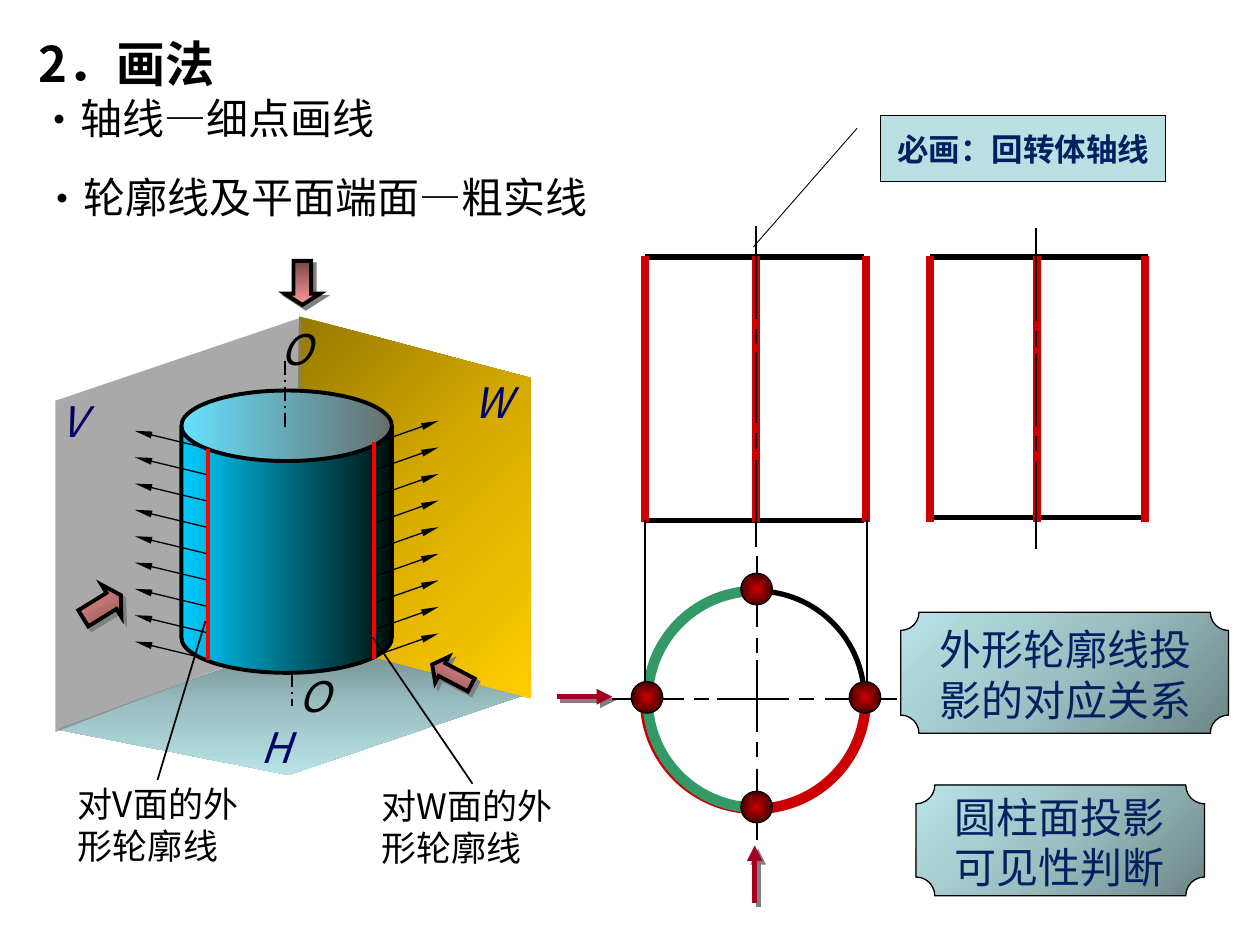
from pptx import Presentation
from pptx.dml.color import RGBColor
from pptx.enum.dml import MSO_LINE
from pptx.enum.shapes import MSO_CONNECTOR, MSO_SHAPE
from pptx.enum.text import MSO_ANCHOR, PP_ALIGN
from pptx.oxml import parse_xml
from pptx.oxml.ns import nsdecls
from pptx.util import Inches, Pt

THEME = {
    "black": "000000", "red": "CC0000", "edge": "FF0000", "green": "339966",
    "crimson": "A50021", "navy": "000066", "blue": "002060", "shadow": "808080",
    "gray": "808080", "pale": "BBE0E3",
    "teal": [(0, "6D8688"), (50, "9BBFC2"), (100, "B8E3E6")],
    "gold": [(0, "977900"), (50, "D7AC00"), (100, "FFCC00")],
    "cyan": [(0, "00CCFF"), (100, "001009")],
    "pink": [(0, "764747"), (100, "FF9999")],
    "pink_reversed": [(0, "FF9999"), (100, "764747")],
    "ball": [(0, "CC0000"), (100, "400000")],
    "sans": "Noto Sans CJK SC", "serif": "Times New Roman",
    "title": 28, "body": 24, "label": 20, "callout": 18,
}


def style(item, fill=None, angle=0, alpha=None, line=None, width=1, dash=None,
          arrow=None, shadow=False):
    """Set fill, outline and shadow; a list fill is a gradient, angle None is radial."""
    properties = item._element.spPr
    if isinstance(fill, list):
        stops = "".join(f'<a:gs pos="{place * 1000}"><a:srgbClr val="{color}"/></a:gs>'
                        for place, color in fill)
        if angle is None:
            way = ('<a:path path="shape"><a:fillToRect l="50000" t="50000" '
                   'r="50000" b="50000"/></a:path>')
        else:
            way = f'<a:lin ang="{angle * 60000}" scaled="1"/>'
        properties.append(parse_xml(f'<a:gradFill {nsdecls("a")} rotWithShape="1">'
                                    f'<a:gsLst>{stops}</a:gsLst>{way}</a:gradFill>'))
    elif fill:
        item.fill.solid()
        item.fill.fore_color.rgb = RGBColor.from_string(fill)
        if alpha:
            properties.find(".//{*}solidFill/{*}srgbClr").append(
                parse_xml(f'<a:alpha {nsdecls("a")} val="{alpha * 1000}"/>'))
    elif hasattr(item, "fill"):
        item.fill.background()
    if line:
        item.line.color.rgb = RGBColor.from_string(line)
        item.line.width = Pt(width)
        if dash:
            item.line.dash_style = dash
        stroke = item.line._get_or_add_ln()
        stroke.append(parse_xml(f'<a:miter {nsdecls("a")} lim="800000"/>'))
        if arrow:
            head_width, head_length = arrow
            stroke.append(parse_xml(f'<a:tailEnd {nsdecls("a")} type="triangle" '
                                    f'w="{head_width}" len="{head_length}"/>'))
    else:
        item.line.fill.background()
    cast = (f'<a:outerShdw dist="35560" dir="2700000" algn="ctr" rotWithShape="0">'
            f'<a:srgbClr val="{THEME["shadow"]}"/></a:outerShdw>') if shadow else ""
    properties.append(parse_xml(f'<a:effectLst {nsdecls("a")}>{cast}</a:effectLst>'))


def add_text(box, text, size=THEME["body"], font=THEME["sans"], color=THEME["black"],
             bold=False, italic=False, bullet=False, wrap=True, align=PP_ALIGN.LEFT,
             anchor=MSO_ANCHOR.TOP):
    """Append paragraphs to a box; a long dash is set in the serif face."""
    frame = box.text_frame
    frame.word_wrap = wrap
    frame.vertical_anchor = anchor
    for row in text.split("\n"):
        para = frame.paragraphs[0]
        if para.runs:
            para = frame.add_paragraph()
        para.alignment = align
        if bullet:
            layout = para._p.get_or_add_pPr()
            layout.set("marL", str(Inches(0.31)))
            layout.set("indent", str(-Inches(0.31)))
            layout.append(parse_xml(f'<a:buFont {nsdecls("a")} typeface="{font}"/>'))
            layout.append(parse_xml(f'<a:buChar {nsdecls("a")} char="•"/>'))
        for part in filter(None, row.partition("—")):
            span = para.add_run()
            span.text = part
            span.font.size = Pt(size)
            span.font.bold = bold
            span.font.italic = italic
            span.font.color.rgb = RGBColor.from_string(color)
            span.font.name = THEME["serif"] if part == "—" else font
            span._r.get_or_add_rPr().append(
                parse_xml(f'<a:ea {nsdecls("a")} typeface="{THEME["sans"]}"/>'))


deck = Presentation()
deck.slide_width, deck.slide_height = Inches(10), Inches(7.5)
page = deck.slides.add_slide(deck.slide_layouts[6])
shapes = page.shapes
black, red = THEME["black"], THEME["red"]

# Projection planes H, W and V
for points, look in [
    ([(2.41, 5.07), (0.46, 5.79), (2.29, 6.15), (4.18, 5.51)],
     dict(fill=THEME["teal"], angle=90)),
    ([(2.37, 2.51), (2.37, 5.06), (4.21, 5.54), (4.21, 3)],
     dict(fill=THEME["gold"], angle=45)),
    ([(0.44, 3.18), (2.39, 2.52), (2.39, 5.06), (0.44, 5.81)],
     dict(fill=THEME["gray"], alpha=67)),
]:
    corners = [(Inches(x), Inches(y)) for x, y in points]
    outline = shapes.build_freeform(*corners[0], scale=1.0)
    outline.add_line_segments(corners[1:], close=True)
    style(outline.convert_to_shape(), **look)

# Cylinder, top-view circle and arcs, viewing arrows, plaques
arrow_look = dict(line=black, width=2.25, shadow=True)
plaque_look = dict(fill=THEME["teal"], angle=225, line=black, width=0.75)
circle = (5.14, 4.69, 1.72, 1.72)
for kind, frame, adjustments, rotation, look in [
    (MSO_SHAPE.CAN, (1.44, 3.1, 1.67, 2.24), [0.335], 0,
     dict(fill=THEME["cyan"], line=black, width=2.25)),
    (MSO_SHAPE.OVAL, circle, [], 0, dict(line=black, width=3)),
    (MSO_SHAPE.DOWN_ARROW, (2.26, 2.07, 0.28, 0.35), [0.5, 0.32], 0,
     dict(fill=THEME["pink"], angle=90, **arrow_look)),
    (MSO_SHAPE.DOWN_ARROW, (3.47, 5.18, 0.23, 0.35), [0.5, 0.38], 117.6,
     dict(fill=THEME["pink_reversed"], **arrow_look)),
    (MSO_SHAPE.DOWN_ARROW, (0.66, 4.64, 0.3, 0.35), [0.5, 0.29], 238.3,
     dict(fill=THEME["pink"], **arrow_look)),
    (MSO_SHAPE.ARC, (5.12, 4.69, 1.75, 1.73), [0, 108], 0, dict(line=red, width=6)),
    (MSO_SHAPE.ARC, circle, [54, 162], 0, dict(line=THEME["green"], width=6)),
    (MSO_SHAPE.PLAQUE, (7.15, 4.86, 2.6, 0.96), [0.15], 0, plaque_look),
    (MSO_SHAPE.PLAQUE, (7.27, 6.23, 2.29, 0.88), [0.17], 0, plaque_look),
]:
    shape = shapes.add_shape(kind, *map(Inches, frame))
    for index, value in enumerate(adjustments):
        shape.adjustments[index] = value
    shape.rotation = rotation
    style(shape, **look)

# Lines, gathered from back to front
axis = dict(line=black, dash=MSO_LINE.LONG_DASH_DOT)
view_arrow = dict(line=THEME["crimson"], width=3, arrow=("med", "med"), shadow=True)
normal = dict(line=black, width=0.75, arrow=("sm", "lg"))
thin = dict(line=black)
lines = [((2.26, 3.39, 2.26, 2.85), axis), ((2.32, 5.34, 2.32, 5.6), axis),
         ((5.99, 7.17, 5.99, 6.71), view_arrow), ((4.42, 5.53, 4.86, 5.53), view_arrow)]
for left, right, bottom in [(5.12, 6.86, 4.13), (7.38, 9.11, 4.11)]:
    lines += [((left, y, right, y), dict(line=black, width=3)) for y in (2.04, bottom)]
lines += [((x, 2.03, x, 4.14), dict(line=red, width=width))
          for x, width in [(5.12, 5), (6.87, 4.5), (8.23, 4.5), (9.09, 4.5),
                           (7.38, 4.5), (6, 5)]]
for index in range(9):
    left_y, right_y = 3.56 + 0.209 * index, 3.52 + 0.211 * index
    lines += [((1.65, left_y, 1.07, left_y - 0.14), normal),
              ((2.97, right_y, 3.48, right_y - 0.18), normal)]
lines += [((x, top, x, bottom), dict(line=THEME["edge"], width=2.25))
          for x, top, bottom in [(1.65, 3.56, 5.24), (2.97, 3.51, 5.23)]]
lines += [((1.63, 4.93, 1.25, 6.19), thin), ((2.96, 5.06, 3.75, 6.22), thin),
          ((5.12, 5.49, 5.12, 4.13), thin), ((6.88, 5.49, 6.88, 4.13), thin)]

# Chain lines: long and short dashes, with the end dashes lengthened in the views
dashes = [(0, 0.57), (0.65, 0.77), (0.83, 1.4), (1.48, 1.6), (1.69, 2.26)]
for x, y, across, before, after in [(4.86, 5.55, True, 0, 0), (6.01, 4.41, False, 0, 0),
                                    (6, 1.96, False, 0.17, 0.12),
                                    (8.22, 1.98, False, 0.17, 0.12)]:
    for start, end in dashes:
        start -= before if start == 0 else 0
        end += after if end == 2.26 else 0
        ends = (x + start, y, x + end, y) if across else (x, y + start, x, y + end)
        lines.append((ends, dict(line=black, width=1.2)))
for ends, look in lines:
    style(shapes.add_connector(MSO_CONNECTOR.STRAIGHT, *map(Inches, ends)), **look)

# Quadrant points on the circle
for x, y in [(5.01, 5.41), (6.74, 5.41), (5.88, 6.28), (5.88, 4.55)]:
    ball = shapes.add_shape(MSO_SHAPE.OVAL, *map(Inches, (x, y, 0.25, 0.25)))
    style(ball, fill=THEME["ball"], angle=None, line=black, width=0.75)

# Text
plane = dict(color=THEME["navy"], italic=True, wrap=False)
center_mark = dict(italic=True, wrap=False)
label = dict(size=THEME["label"])
note = dict(font=THEME["serif"], color=THEME["blue"])
middle = dict(anchor=MSO_ANCHOR.MIDDLE)
for frame, text, look in [
    ((0.38, 3.09, 0.41, 0.51), "V", plane),
    ((3.66, 2.94, 0.53, 0.5), "W", plane),
    ((1.97, 5.68, 0.44, 0.51), "H", plane),
    ((2.13, 2.52, 0.46, 0.51), "O", center_mark),
    ((2.27, 5.27, 0.46, 0.51), "O", center_mark),
    ((0.52, 6.16, 1.96, 0.77), "对V面的外\n形轮廓线", label),
    ((2.93, 6.18, 1.85, 0.77), "对W面的外\n形轮廓线", label),
    ((7.36, 4.9, 2.64, 0.91), "外形轮廓线投\n影的对应关系", note),
    ((7.48, 6.23, 2.19, 0.91), "圆柱面投影\n可见性判断", note),
    ((0.23, 1.31, 5.35, 0.5), "轮廓线及平面端面—粗实线", dict(bullet=True, **middle)),
]:
    add_text(shapes.add_textbox(*map(Inches, frame)), text, **look)
heading = shapes.add_textbox(*map(Inches, (0.21, 0.21, 3.69, 0.98)))
add_text(heading, "2．画法", size=THEME["title"], bold=True, **middle)
add_text(heading, "轴线—细点画线", bullet=True, **middle)

callout = shapes.add_shape(MSO_SHAPE.LINE_CALLOUT_1, *map(Inches, (6.99, 0.92, 2.26, 0.52)))
for index, value in enumerate([0.188, -0.083, 1.998, -0.447]):
    callout.adjustments[index] = value
style(callout, fill=THEME["pale"], line=black, width=0.5)
add_text(callout, "必画：回转体轴线", size=THEME["callout"], color=THEME["blue"],
         bold=True, align=PP_ALIGN.CENTER, **middle)

deck.save("out.pptx")
